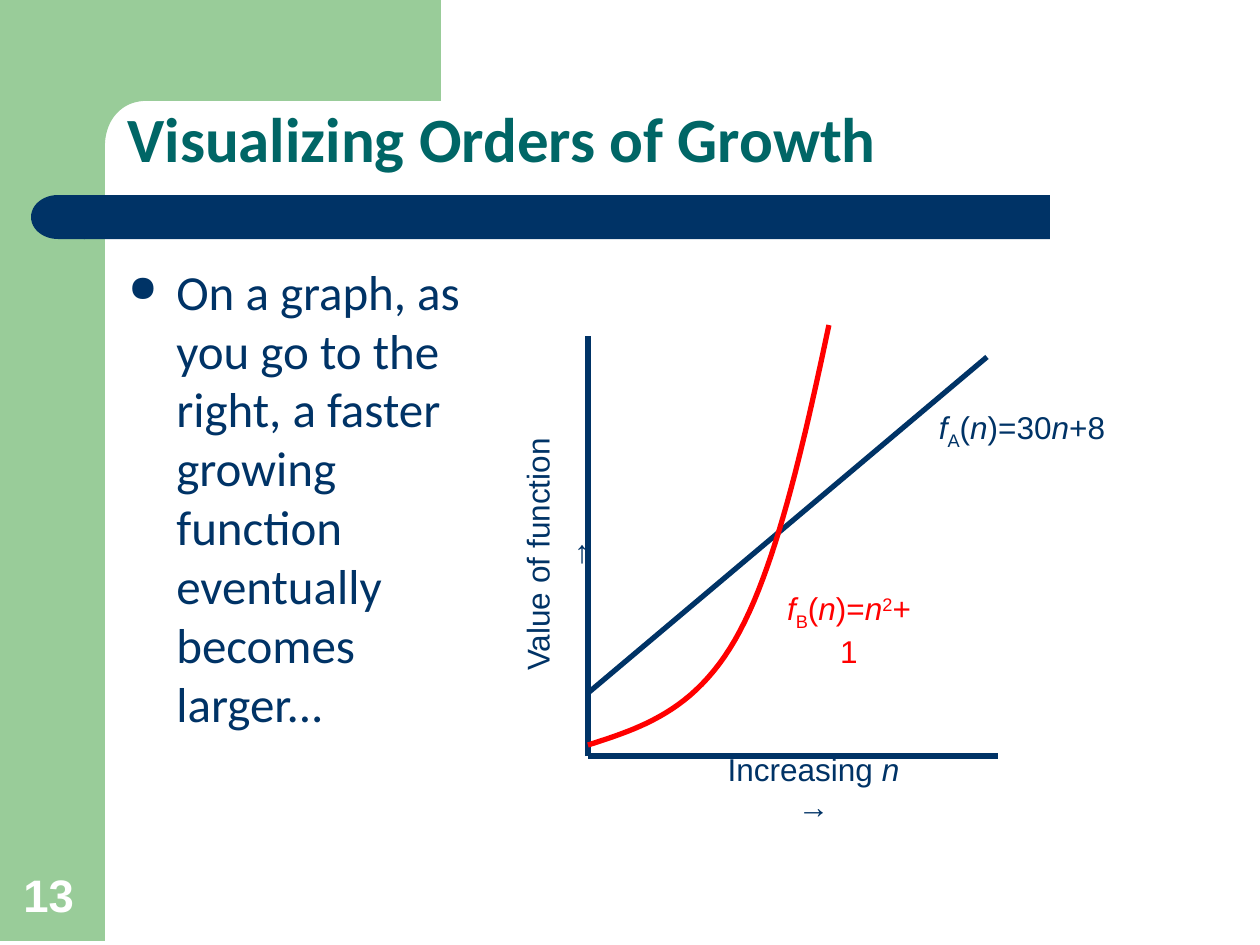
from lxml import etree
from pptx import Presentation
from pptx.dml.color import RGBColor
from pptx.enum.shapes import MSO_CONNECTOR, MSO_SHAPE
from pptx.enum.text import MSO_ANCHOR, PP_ALIGN
from pptx.oxml.ns import qn
from pptx.util import Emu, Pt

PX = 914400 / 126
NAVY, GREEN, TEAL, RED, WHITE = "003366", "99CC99", "006666", "FF0000", "FFFFFF"
BASELINES = {"sub": "-25000", "sup": "30000"}

# Text is a list of lines; a line is a list of (words, style) runs.
TITLE = [[("Visualizing Orders of Growth", "")]]
BODY = [[(line, "")] for line in (
    "On a graph, as", "you go to the", "right, a faster", "growing",
    "function", "eventually", "becomes", "larger...")]
PAGE_NUMBER = [[("13", "")]]
GRAPH_LABELS = [
    ((926, 402, 192, 55), NAVY, 0,
     [[("f", "i"), ("A", "sub"), ("(", ""), ("n", "i"), (")=30", ""), ("n", "i"), ("+8", "")]]),
    ((698, 762, 231, 51), NAVY, 0, [[("Increasing ", ""), ("n", "i")], [("→", "")]]),
    ((766, 602, 166, 55), RED, 0,
     [[("f", "i"), ("B", "sub"), ("(", ""), ("n", "i"), (")=", ""), ("n", "i"),
       ("2", "sup"), ("+1", "")]]),
    ((409, 529, 294, 51), NAVY, 270, [[("Value of function", "")], [("→", "")]]),
]

ORIGIN = (588, 756)
GRAPH_LINES = [
    (ORIGIN, (588, 336)),
    (ORIGIN, (998, 756)),
    ((588, 693), (987, 357)),
]
QUADRATIC = [
    ((588, 745), (641, 728), (694, 711), (735, 640)),
    ((735, 640), (775, 571), (803, 448), (829, 325)),
]
CORNER = ((146, 101), (122, 101), (105, 120), (105, 146))


def px(value):
    return Emu(round(value * PX))


def color(hex_string):
    return RGBColor.from_string(hex_string)


def bezier(start, control_1, control_2, end, steps=24):
    """Return points along a cubic curve, both ends included."""
    points = []
    for step in range(steps + 1):
        t = step / steps
        weights = ((1 - t) ** 3, 3 * t * (1 - t) ** 2, 3 * t * t * (1 - t), t ** 3)
        points.append(tuple(
            sum(weight * value for weight, value in zip(weights, axis))
            for axis in zip(start, control_1, control_2, end)))
    return points


def fill_shape(shape, fill):
    shape.shadow.inherit = False
    shape.fill.solid()
    shape.fill.fore_color.rgb = color(fill)
    shape.line.fill.background()


def add_block(slide, kind, box, fill):
    shape = slide.shapes.add_shape(kind, *map(px, box))
    fill_shape(shape, fill)
    return shape


def add_path(slide, points, close):
    points = [(px(x), px(y)) for x, y in points]
    builder = slide.shapes.build_freeform(*points[0], scale=1.0)
    builder.add_line_segments(points[1:], close=close)
    shape = builder.convert_to_shape()
    shape.shadow.inherit = False
    return shape


def add_line(slide, start, end):
    line = slide.shapes.add_connector(
        MSO_CONNECTOR.STRAIGHT, *map(px, start + end))
    line.line.color.rgb = color(NAVY)
    line.line.width = Pt(3)
    etree.SubElement(line._element.spPr, qn("a:effectLst"))


def add_bullet(paragraph, indent):
    properties = paragraph._p.get_or_add_pPr()
    properties.set("marL", str(indent))
    properties.set("indent", str(-indent))
    bullet_color = etree.SubElement(properties, qn("a:buClr"))
    etree.SubElement(bullet_color, qn("a:srgbClr"), val=NAVY)
    etree.SubElement(properties, qn("a:buSzPct"), val="75000")
    etree.SubElement(properties, qn("a:buChar"), char="●")


def add_text(slide, lines, box, *, size, font="Arial", fill=NAVY, bold=False,
             align=PP_ALIGN.LEFT, anchor=MSO_ANCHOR.TOP, wrap=True,
             rotation=0, spacing=None, bullet=False):
    shape = slide.shapes.add_textbox(*map(px, box))
    shape.rotation = rotation
    frame = shape.text_frame
    frame.word_wrap = wrap
    frame.vertical_anchor = anchor
    paragraph = frame.paragraphs[0]
    paragraph.alignment = align
    if spacing:
        paragraph.line_spacing = spacing
    if bullet:
        add_bullet(paragraph, px(48))
    paragraph.font.size = Pt(size)
    for index, line in enumerate(lines):
        if index:
            paragraph.add_line_break()
        for words, style in line:
            run = paragraph.add_run()
            run.text = words
            run.font.name = font
            run.font.size = Pt(size)
            run.font.bold = bold
            run.font.italic = style == "i"
            run.font.color.rgb = color(fill)
            if style in BASELINES:
                run._r.get_or_add_rPr().set("baseline", BASELINES[style])
    for line_break in paragraph._p.findall(qn("a:br")):
        etree.SubElement(line_break, qn("a:rPr"), sz=str(size * 100))


def add_frame(slide):
    add_block(slide, MSO_SHAPE.RECTANGLE, (0, -4, 105, 945), GREEN)
    outline = [(63, -4), (441, -4), (441, 101), *bezier(*CORNER), (105, 158), (63, 158)]
    fill_shape(add_path(slide, outline, close=True), GREEN)
    bar = add_block(slide, MSO_SHAPE.ROUNDED_RECTANGLE, (84, 195, 966, 44), NAVY)
    bar.adjustments[0] = 0
    cap = add_block(slide, MSO_SHAPE.FLOWCHART_DELAY, (31, 195, 54, 44), NAVY)
    cap._element.spPr.get_or_add_xfrm().set("flipH", "1")


def add_graph(slide):
    for start, end in GRAPH_LINES:
        add_line(slide, start, end)
    first, second = QUADRATIC
    curve = add_path(slide, bezier(*first) + bezier(*second)[1:], close=False)
    curve.fill.background()
    curve.line.color.rgb = color(RED)
    curve.line.width = Pt(3)
    for box, fill, rotation, lines in GRAPH_LABELS:
        add_text(slide, lines, box, size=18, fill=fill, rotation=rotation,
                 align=PP_ALIGN.CENTER, anchor=MSO_ANCHOR.MIDDLE, wrap=False)


def main():
    presentation = Presentation()
    presentation.slide_width, presentation.slide_height = px(1260), px(945)
    slide = presentation.slides.add_slide(presentation.slide_layouts[6])
    add_frame(slide)
    add_text(slide, TITLE, (115, 45, 1072, 137), size=36, font="Calibri", fill=TEAL,
             bold=True, anchor=MSO_ANCHOR.BOTTOM, spacing=0.9)
    add_text(slide, BODY, (116, 255, 1060, 586), size=28, font="Calibri", bullet=True)
    add_graph(slide)
    add_text(slide, PAGE_NUMBER, (11, 861, 81, 67), size=26, fill=WHITE, bold=True,
             anchor=MSO_ANCHOR.BOTTOM)
    presentation.save("out.pptx")


if __name__ == "__main__":
    main()
